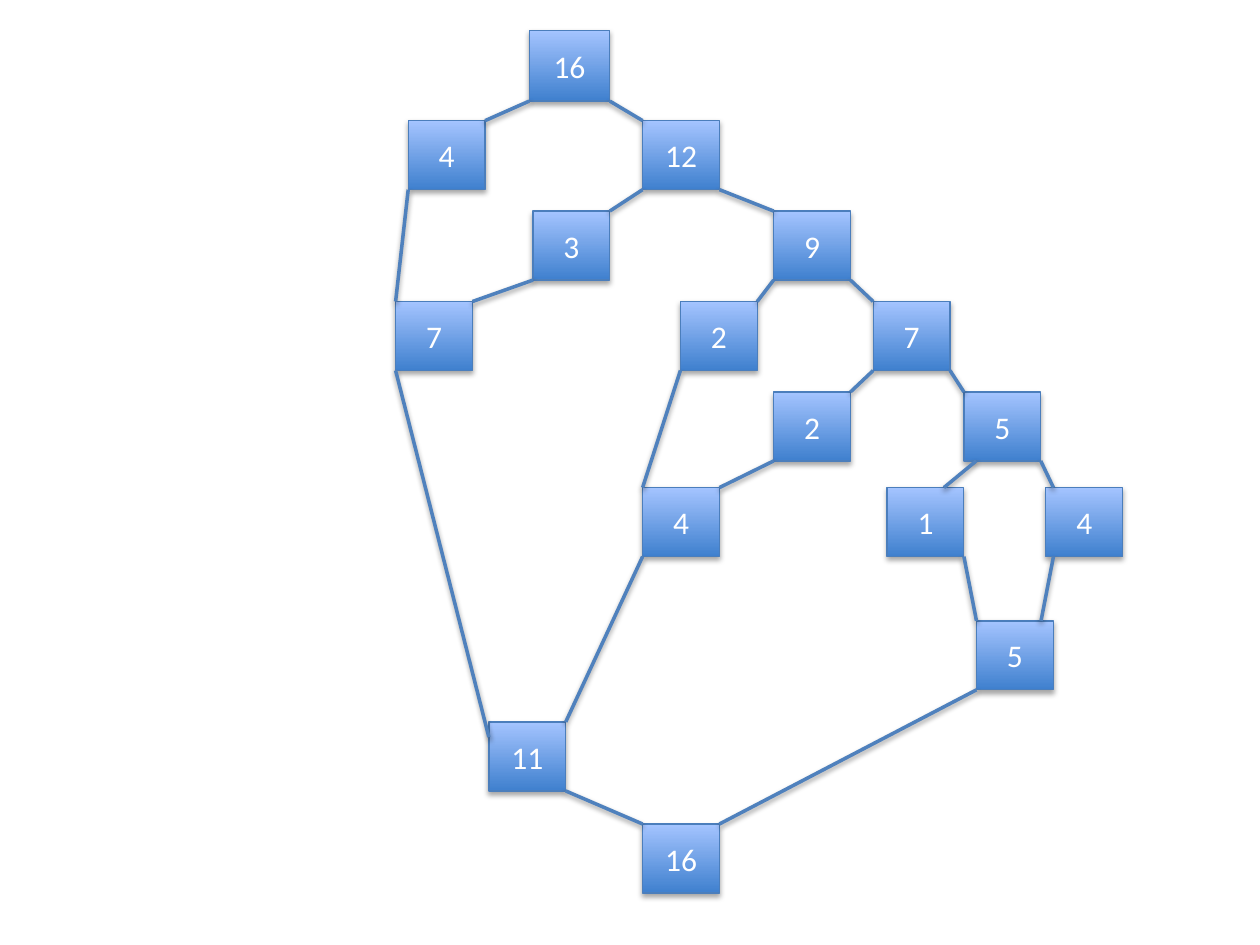
from dataclasses import dataclass

from lxml.etree import SubElement
from pptx import Presentation
from pptx.dml.color import RGBColor
from pptx.enum.shapes import MSO_CONNECTOR, MSO_SHAPE
from pptx.enum.text import MSO_ANCHOR, PP_ALIGN
from pptx.oxml.ns import qn
from pptx.util import Inches, Pt


@dataclass(frozen=True)
class Theme:
    """Colours, type and line sizes of the diagram."""
    bottom: str = "3F80CE"
    top: str = "A4C4FF"
    outline: str = "4B7EBC"
    edge: str = "4F81BD"
    text: str = "FFFFFF"
    shadow: str = "000000"
    font: str = "Calibri"
    text_size: float = 18
    outline_width: float = 0.75
    edge_width: float = 2


# Row tops as percent of the slide height: five even rows, then wider gaps.
ROWS = [3.2 + 9.57 * row for row in range(5)] + [51.6, 65.7, 76.4, 87.2]
BOX = (6.1, 7.3)
ROOT_BOX = (6.4, 7.5)

# Name: label, left as percent of the slide width, row
NODES = {
    "root": ("16", 42, 0),
    "split 4": ("4", 32.4, 1),
    "split 12": ("12", 51, 1),
    "split 3": ("3", 42.3, 2),
    "split 9": ("9", 61.4, 2),
    "merge 7": ("7", 31.4, 3),
    "split 7": ("7", 69.3, 3),
    "left 2": ("2", 54, 3),
    "right 2": ("2", 61.4, 4),
    "split 5": ("5", 76.5, 4),
    "leaf 1": ("1", 70.4, 5),
    "leaf 4": ("4", 83, 5),
    "merge 5": ("5", 77.5, 6),
    "merge 4": ("4", 51, 5),
    "merge 11": ("11", 38.8, 7),
    "total": ("16", 51, 8),
}

# Upper node, share across its bottom, lower node, share across and down it
EDGES = [
    ("root", 0, "split 4", 1, 0),
    ("root", 1, "split 12", 0, 0),
    ("split 12", 0, "split 3", 1, 0),
    ("split 3", 0, "merge 7", 1, 0),
    ("split 4", 0, "merge 7", 0, 0),
    ("split 12", 1, "split 9", 0, 0),
    ("split 9", 0, "left 2", 1, 0),
    ("split 9", 1, "split 7", 0, 0),
    ("split 7", 0, "right 2", 1, 0),
    ("left 2", 0, "merge 4", 0, 0),
    ("right 2", 0, "merge 4", 1, 0),
    ("split 7", 1, "split 5", 0, 0),
    ("split 5", 0.16, "leaf 1", 0.74, 0),
    ("split 5", 1, "leaf 4", 0.1, 0),
    ("leaf 1", 1, "merge 5", 0, 0),
    ("leaf 4", 0.1, "merge 5", 0.84, 0),
    ("merge 7", 0, "merge 11", 0, 0.22),
    ("merge 4", 0, "merge 11", 1, 0),
    ("merge 11", 1, "total", 0, 0),
    ("merge 5", 0, "total", 1, 0),
]


class Diagram:
    """Draws boxes and edges on one slide in one style."""

    def __init__(self, presentation, theme):
        """Add a blank slide and keep the style."""
        self.theme = theme
        self.unit_x = presentation.slide_width / 100
        self.unit_y = presentation.slide_height / 100
        self.slide = presentation.slides.add_slide(presentation.slide_layouts[6])

    def shadow(self, shape, distance, opacity):
        """Give a shape or connector a soft shadow straight below it."""
        properties = shape._element.spPr
        effects = properties.find(qn("a:effectLst"))
        if effects is None:
            effects = SubElement(properties, qn("a:effectLst"))
        outer = SubElement(effects, qn("a:outerShdw"), blurRad=str(Pt(3.1)),
                           dist=str(Pt(distance)), dir="5400000", rotWithShape="0")
        color = SubElement(outer, qn("a:srgbClr"), val=self.theme.shadow)
        SubElement(color, qn("a:alpha"), val=str(opacity * 1000))

    def line(self, shape, color, width):
        """Set the line colour and width."""
        shape.line.color.rgb = RGBColor.from_string(color)
        shape.line.width = Pt(width)

    def box(self, label, left, top, size):
        """Add a shaded box with a centred number."""
        theme = self.theme
        shape = self.slide.shapes.add_shape(
            MSO_SHAPE.RECTANGLE, round(left * self.unit_x), round(top * self.unit_y),
            round(size[0] * self.unit_x), round(size[1] * self.unit_y))
        shape.fill.gradient()
        shape.fill.gradient_angle = 90
        for stop, position, color in zip(shape.fill.gradient_stops, (0, 1),
                                         (theme.bottom, theme.top)):
            stop.position = position
            stop.color.rgb = RGBColor.from_string(color)
        self.line(shape, theme.outline, theme.outline_width)
        shape.shadow.inherit = False
        self.shadow(shape, 1.8, 35)
        shape.text_frame.text = label
        shape.text_frame.vertical_anchor = MSO_ANCHOR.MIDDLE
        paragraph = shape.text_frame.paragraphs[0]
        paragraph.alignment = PP_ALIGN.CENTER
        font = paragraph.runs[0].font
        font.name, font.size = theme.font, Pt(theme.text_size)
        font.color.rgb = RGBColor.from_string(theme.text)
        return shape

    def edge(self, upper, across_upper, lower, across_lower, down_lower):
        """Join the bottom of one box to a point of a lower box."""
        connector = self.slide.shapes.add_connector(
            MSO_CONNECTOR.STRAIGHT,
            round(upper.left + across_upper * upper.width), upper.top + upper.height,
            round(lower.left + across_lower * lower.width),
            round(lower.top + down_lower * lower.height))
        self.line(connector, self.theme.edge, self.theme.edge_width)
        self.shadow(connector, 1.6, 38)


def main():
    """Build and save the slide."""
    presentation = Presentation()
    presentation.slide_width, presentation.slide_height = Inches(10), Inches(7.5)
    diagram = Diagram(presentation, Theme())
    boxes = {}
    for name, (label, left, row) in NODES.items():
        size = ROOT_BOX if name == "root" else BOX
        boxes[name] = diagram.box(label, left, ROWS[row], size)
    for upper, across_upper, lower, across_lower, down_lower in EDGES:
        diagram.edge(boxes[upper], across_upper, boxes[lower], across_lower, down_lower)
    presentation.save("out.pptx")


main()
